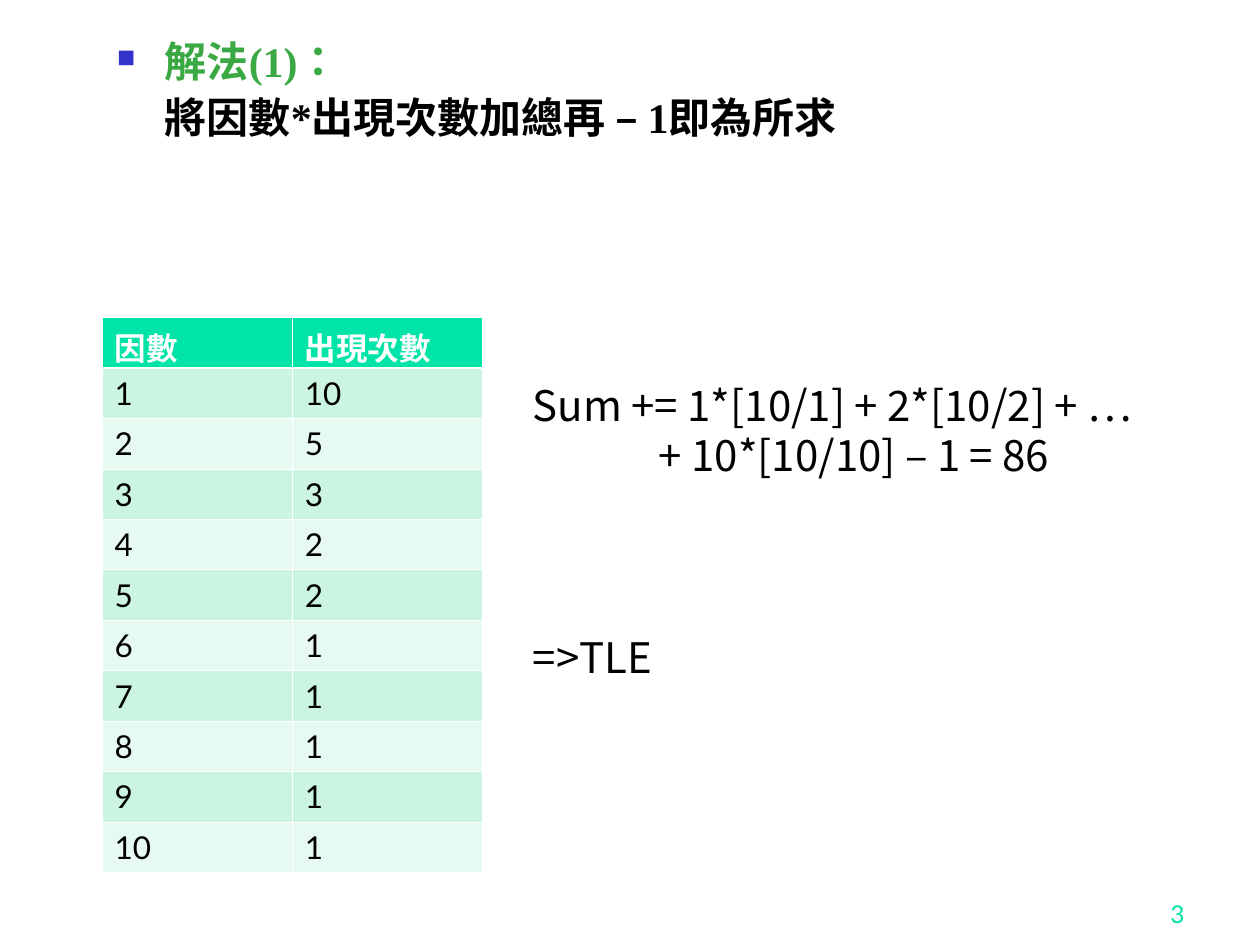
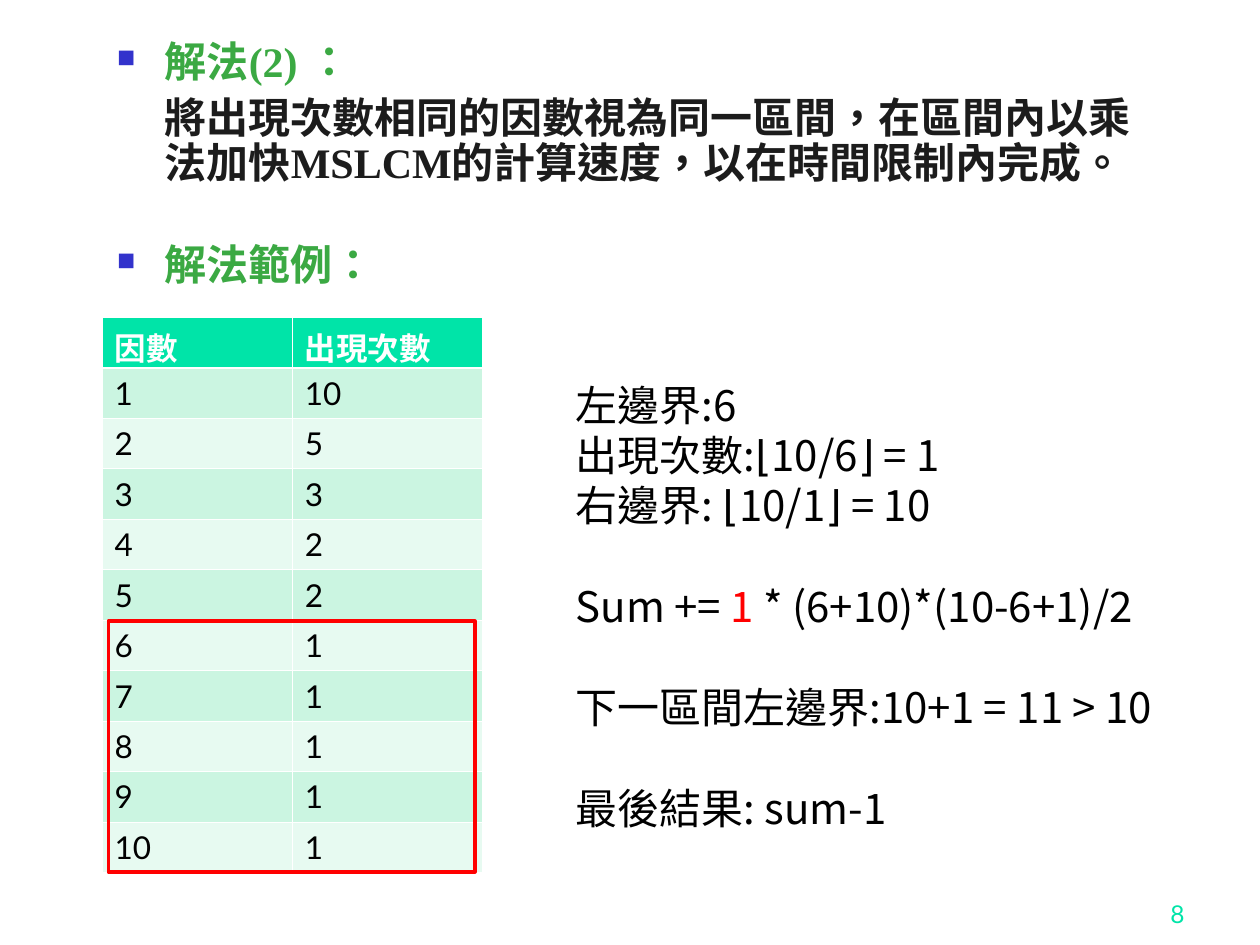
from lxml import etree
from pptx import Presentation, util as u
from pptx.dml.color import RGBColor
from pptx.enum import lang, shapes, text
from pptx.oxml.ns import qn

WIDTH, HEIGHT = 10, 7.5
GREEN, MINT, PALE, ACCENT = "3BA943", "CBF5E1", "E7FAF1", "00E4A8"
BLACK, INK, WHITE, RED, BULLET = "000000", "1C1C1C", "FFFFFF", "FF0000", "3333CC"
HEAD_FONT, TABLE_FONT, CJK_FONT = "Times New Roman", "Lato", "Noto Sans CJK SC"

# Table grid
LEFT, TOP, COL, ROW = 0.81, 2.52, 1.51, 0.4
LIMIT = 10
LINE = 28.8  # height of one working line, in points


def rgb(value):
    return RGBColor.from_string(value)


def inches(*lengths):
    return [u.Inches(length) for length in lengths]


def sub(parent, tag, **attrs):
    return etree.SubElement(parent, qn(tag), attrs)


def style(r, size, font, color, bold=False):
    r.font.size, r.font.bold, r.font.name = u.Pt(size), bold, font
    r.font.color.rgb = rgb(color)
    r.font.language_id = lang.MSO_LANGUAGE_ID.TRADITIONAL_CHINESE
    latin = r.font._element.find(qn("a:latin"))
    ea = etree.Element(qn("a:ea"), typeface=CJK_FONT)
    latin.addnext(ea)


def text_box(s, x, y, w, h):
    tf = s.shapes.add_textbox(*inches(x, y, w, h)).text_frame
    tf.word_wrap = True
    return tf


def next_paragraph(tf, index):
    return tf.add_paragraph() if index else tf.paragraphs[0]


def indent(p, left, first=0):
    pPr = p._p.get_or_add_pPr()
    pPr.set("marL", str(u.Inches(left)))
    pPr.set("indent", str(u.Inches(first)))
    return pPr


def outline(s, items):
    """Items are (text, colour, bulleted, space before)."""
    tf = text_box(s, 0.83, 0.28, 8.5, 6.77)
    for i, (words, color, bulleted, before) in enumerate(items):
        p = next_paragraph(tf, i)
        p.text = words
        p.line_spacing, p.space_before = 0.9, u.Pt(before)
        pPr = indent(p, 0.38, -0.38 if bulleted else 0)
        if bulleted:
            sub(sub(pPr, "a:buClr"), "a:srgbClr", val=BULLET)
            sub(pPr, "a:buSzPct", val="60000")
            sub(pPr, "a:buChar", char="■")
        style(p.runs[0], 24, HEAD_FONT, color, True)


def working(s, x, w, h, lines):
    """Lines are (runs, blank lines above, left indent); runs are (text, colour)."""
    tf = text_box(s, x, 2.96, w, h)
    for i, (runs, gap, left) in enumerate(lines):
        p = next_paragraph(tf, i)
        p.space_before = u.Pt(gap * LINE)
        indent(p, left)
        for words, color in runs:
            r = p.add_run()
            r.text = words
            style(r, 24, CJK_FONT, color)


def borders(cell, top, bottom):
    tcPr = cell._tc.get_or_add_tcPr()
    sides = {"a:lnL": 0.45, "a:lnR": 0.45, "a:lnT": top, "a:lnB": bottom}
    for place, (tag, width) in enumerate(sides.items()):
        ln = etree.Element(qn(tag), w=str(u.Pt(width)))
        sub(sub(ln, "a:solidFill"), "a:srgbClr", val=WHITE)
        tcPr.insert(place, ln)


def factor_table(s, header_bottom):
    rows = [("因數", "出現次數")] + [(n, LIMIT // n) for n in range(1, LIMIT + 1)]
    table = s.shapes.add_table(
        len(rows), 2, *inches(LEFT, TOP, 2 * COL, len(rows) * ROW)).table
    for i, row in enumerate(rows):
        table.rows[i].height = u.Inches(ROW)
        for j, value in enumerate(row):
            cell = table.cell(i, j)
            cell.fill.solid()
            cell.fill.fore_color.rgb = rgb((MINT if i % 2 else PALE) if i else ACCENT)
            borders(cell, 1.47 if i == 1 else 0.45, 0.45 if i else 1.47)
            cell.text = str(value)
            style(cell.text_frame.paragraphs[0].runs[0], 18, TABLE_FONT,
                  BLACK if i else WHITE, i == 0)
            if i == 0:
                cell.margin_bottom = u.Inches(header_bottom)


def interval_frame(s, first, last):
    sp = s.shapes.add_shape(
        shapes.MSO_SHAPE.RECTANGLE,
        *inches(LEFT + 0.05, TOP + first * ROW + 0.01, 2 * COL - 0.11,
                (last - first + 1) * ROW - 0.01))
    sp.shadow.inherit = False
    sp.fill.background()
    sp.line.color.rgb, sp.line.width = rgb(RED), u.Pt(2)


def page_number(s, number):
    tf = text_box(s, 7.42, 6.92, 2.08, 0.5)
    tf.vertical_anchor = text.MSO_ANCHOR.BOTTOM
    p = tf.paragraphs[0]
    p.text = str(number)
    p.alignment = text.PP_ALIGN.RIGHT
    style(p.runs[0], 14, TABLE_FONT, ACCENT)


def solution_slide(prs, number, items, header_bottom):
    s = prs.slides.add_slide(prs.slide_layouts[6])
    outline(s, items)
    page_number(s, number)
    factor_table(s, header_bottom)
    return s


def main():
    prs = Presentation()
    prs.slide_width, prs.slide_height = inches(WIDTH, HEIGHT)

    # Direct sum over every factor
    s = solution_slide(prs, 3, [
        ("解法(1)：", GREEN, True, 0),
        ("將因數*出現次數加總再 – 1即為所求", BLACK, False, 6),
    ], 0.05)
    working(s, 4.13, 5.59, 2.9, [
        ([("Sum += 1*[10/1] + 2*[10/2] + …", BLACK)], 0, 0),
        ([("+ 10*[10/10] – 1 = 86", BLACK)], 0, 1),
        ([("=>TLE", BLACK)], 3, 0),
    ])

    # Factors grouped into intervals
    s = solution_slide(prs, 8, [
        ("解法(2) ：", GREEN, True, 0),
        ("將出現次數相同的因數視為同一區間，在區間內以乘法加快MSLCM的計算速度，"
         "以在時間限制內完成。", INK, False, 6),
        ("解法範例：", GREEN, True, 32),
    ], 0)
    interval_frame(s, 6, 10)
    working(s, 4.47, 5.18, 4.5, [
        ([("左邊界:6", BLACK)], 0, 0),
        ([("出現次數:⌊10/6⌋ = 1", BLACK)], 0, 0),
        ([("右邊界: ⌊10/1⌋ = 10", BLACK)], 0, 0),
        ([("Sum += ", BLACK), ("1 ", RED), ("* (6+10)*(10-6+1)/2", BLACK)], 1, 0),
        ([("下一區間左邊界:10+1 = 11 > 10", BLACK)], 1, 0),
        ([("最後結果: sum-1", BLACK)], 1, 0),
    ])

    prs.save("out.pptx")


if __name__ == "__main__":
    main()
